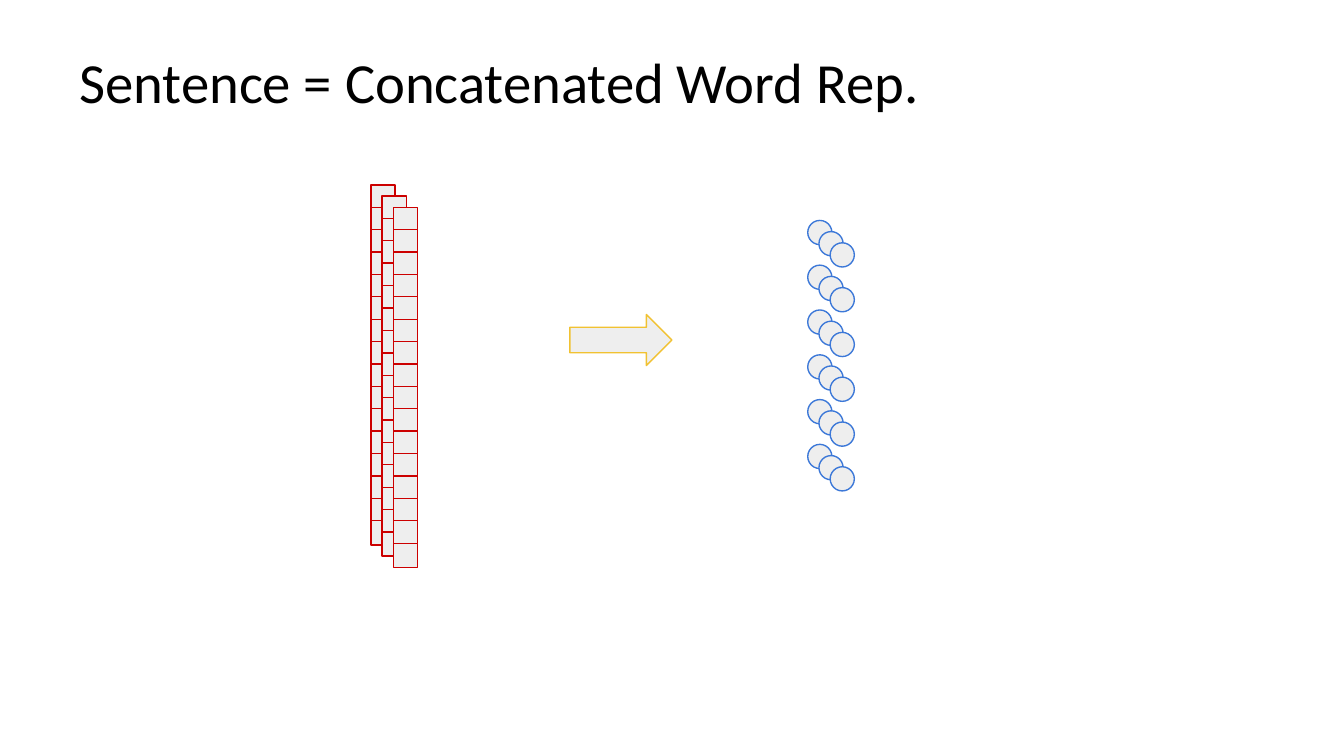
from pptx import Presentation
from pptx.dml.color import RGBColor
from pptx.enum.shapes import MSO_SHAPE
from pptx.enum.text import MSO_ANCHOR, MSO_AUTO_SIZE, PP_ALIGN
from pptx.util import Inches, Pt

# Content
TITLE = "Sentence = Concatenated Word Rep."
WORD_VECTORS = dict(kind=MSO_SHAPE.RECTANGLE, left=2.76, top=11 / 8,
                    count=16, pitch=1 / 6, outline="CC0000")
SENTENCE_UNITS = dict(kind=MSO_SHAPE.OVAL, left=6.01, top=1.64,
                      count=6, pitch=1 / 3, outline="3C78D8")
BACK_LAYERS = (0,)
FRONT_LAYERS = (1, 2)

# Shared measures, in inches
SLIDE_WIDTH = 10
SLIDE_HEIGHT = SLIDE_WIDTH * 9 / 16
CELL = 0.18
LAYER_SHIFT = 1 / 12
FILL = "EEEEEE"


def color(hex_code):
    return RGBColor.from_string(hex_code)


def add_outlined(slide, kind, left, top, width, height, outline):
    shape = slide.shapes.add_shape(
        kind, Inches(left), Inches(top), Inches(width), Inches(height))
    shape.shadow.inherit = False
    shape.fill.solid()
    shape.fill.fore_color.rgb = color(FILL)
    shape.line.color.rgb = color(outline)
    shape.line.width = Pt(0.75)


def add_column(slide, layer, kind, left, top, count, pitch, outline):
    shift = layer * LAYER_SHIFT
    for row in range(count):
        add_outlined(slide, kind, left + shift, top + shift + row * pitch,
                     CELL, CELL, outline)


def add_layers(slide, layers):
    for column in (WORD_VECTORS, SENTENCE_UNITS):
        for layer in layers:
            add_column(slide, layer, **column)


def add_title(slide):
    title = slide.shapes.title
    title.left, title.top = Inches(0.52), Inches(0.22)
    title.width, title.height = Inches(6.47), Inches(0.82)
    frame = title.text_frame
    frame.word_wrap = True
    frame.auto_size = MSO_AUTO_SIZE.NONE
    frame.vertical_anchor = MSO_ANCHOR.MIDDLE
    frame.margin_left = frame.margin_right = Inches(0.07)
    frame.margin_top = frame.margin_bottom = Inches(0.04)
    heading = frame.paragraphs[0]
    heading.alignment = PP_ALIGN.LEFT
    heading.line_spacing = 0.9
    run = heading.add_run()
    run.text = TITLE
    run.font.name = "Calibri"
    run.font.size = Pt(30.4)
    run.font.color.rgb = color("000000")


def main():
    deck = Presentation()
    deck.slide_width, deck.slide_height = Inches(SLIDE_WIDTH), Inches(SLIDE_HEIGHT)
    slide = deck.slides.add_slide(deck.slide_layouts[5])
    add_title(slide)

    # Stacked columns from back to front, with the arrow between them
    add_layers(slide, BACK_LAYERS)
    add_outlined(slide, MSO_SHAPE.RIGHT_ARROW, 4.24, 2.34, 0.76, 0.38, "F1C232")
    add_layers(slide, FRONT_LAYERS)

    deck.save("out.pptx")


if __name__ == "__main__":
    main()
